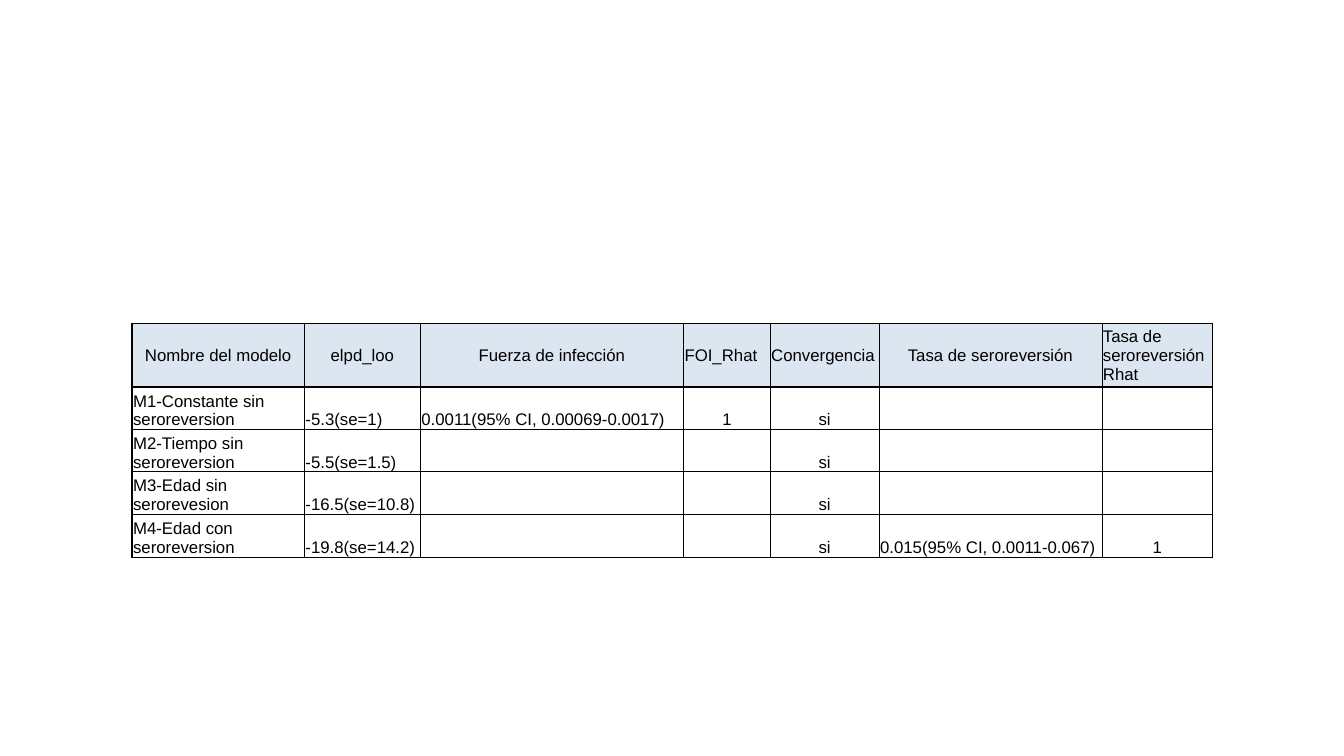
from dataclasses import dataclass

from lxml.etree import SubElement
from pptx import Presentation
from pptx.dml.color import RGBColor
from pptx.enum.text import MSO_ANCHOR as Anchor, PP_ALIGN as Align
from pptx.oxml.ns import qn
from pptx.util import Inches, Pt

GRID_COLUMNS, GRID_ROWS = 1333, 750

HEADINGS = ["Nombre del modelo", "elpd_loo", "Fuerza de infección", "FOI_Rhat",
            "Convergencia", "Tasa de seroreversión", "Tasa de seroreversión Rhat"]
MODELS = [
    ["M1-Constante sin seroreversion", "-5.3(se=1)",
     "0.0011(95% CI, 0.00069-0.0017)", "1", "si", "", ""],
    ["M2-Tiempo sin seroreversion", "-5.5(se=1.5)", "", "", "si", "", ""],
    ["M3-Edad sin serorevesion", "-16.5(se=10.8)", "", "", "si", "", ""],
    ["M4-Edad con seroreversion", "-19.8(se=14.2)", "", "", "si",
     "0.015(95% CI, 0.0011-0.067)", "1"],
]
COLUMN_SPANS = [171, 115, 261, 86, 108, 221, 110]
ROW_SPANS = [63, 42, 42, 42, 43]
CENTRED_HEADINGS = {0, 1, 2, 5}
CENTRED_VALUES = {3, 4, 6}


@dataclass(frozen=True)
class Theme:
    """Colours, type and line weights of the slide."""
    font: str = "Arial"
    size: float = 12
    ink: str = "000000"
    heading_fill: str = "DCE6F1"
    thick: float = 1
    thin: float = 0.5
    inset: float = 0.01


class SlideBuilder:
    """Draws styled elements on the current slide by grid units."""

    def __init__(self, deck, theme):
        self.theme = theme
        self.slide = deck.slides.add_slide(deck.slide_layouts[6])
        self.column = deck.slide_width / GRID_COLUMNS
        self.row = deck.slide_height / GRID_ROWS

    def across(self, span):
        return round(span * self.column)

    def down(self, span):
        return round(span * self.row)

    def border(self, cell, side, weight):
        line = SubElement(cell._tc.get_or_add_tcPr(), qn(f"a:ln{side}"), w=str(Pt(weight)))
        fill = SubElement(line, qn("a:solidFill"))
        SubElement(fill, qn("a:srgbClr"), val=self.theme.ink)

    def cell(self, cell, wording, heading, centred, thick_sides):
        theme = self.theme
        cell.margin_left = cell.margin_right = cell.margin_top = Inches(theme.inset)
        cell.margin_bottom = 0
        cell.vertical_anchor = Anchor.MIDDLE if heading else Anchor.BOTTOM
        for side in "LRTB":
            self.border(cell, side, theme.thick if side in thick_sides else theme.thin)
        if heading:
            cell.fill.solid()
            cell.fill.fore_color.rgb = RGBColor.from_string(theme.heading_fill)
        else:
            cell.fill.background()
        cell.text_frame.text = wording
        paragraph = cell.text_frame.paragraphs[0]
        paragraph.alignment = Align.CENTER if centred else Align.LEFT
        for run in paragraph.runs:
            run.font.name = theme.font
            run.font.size = Pt(theme.size)
            run.font.color.rgb = RGBColor.from_string(theme.ink)

    def table(self, left, top, column_spans, row_spans, rows):
        last_row, last_column = len(row_spans) - 1, len(column_spans) - 1
        comparison = self.slide.shapes.add_table(
            len(row_spans), len(column_spans), self.across(left), self.down(top),
            self.across(sum(column_spans)), self.down(sum(row_spans))).table
        comparison.first_row = comparison.horz_banding = False
        for column, span in zip(comparison.columns, column_spans):
            column.width = self.across(span)
        for row, span in zip(comparison.rows, row_spans):
            row.height = self.down(span)
        for r, wordings in enumerate(rows):
            heading = r == 0
            centred = CENTRED_HEADINGS if heading else CENTRED_VALUES
            for c, wording in enumerate(wordings):
                thick = {"L": c == 0, "R": c == last_column,
                         "T": r <= 1, "B": r in (0, last_row)}
                sides = [side for side, is_thick in thick.items() if is_thick]
                self.cell(comparison.cell(r, c), wording, heading, c in centred, sides)


def main():
    deck = Presentation()
    deck.slide_width, deck.slide_height = Inches(13.33), Inches(7.5)
    builder = SlideBuilder(deck, Theme())
    builder.table(131, 321, COLUMN_SPANS, ROW_SPANS, [HEADINGS, *MODELS])
    deck.save("out.pptx")


if __name__ == "__main__":
    main()
